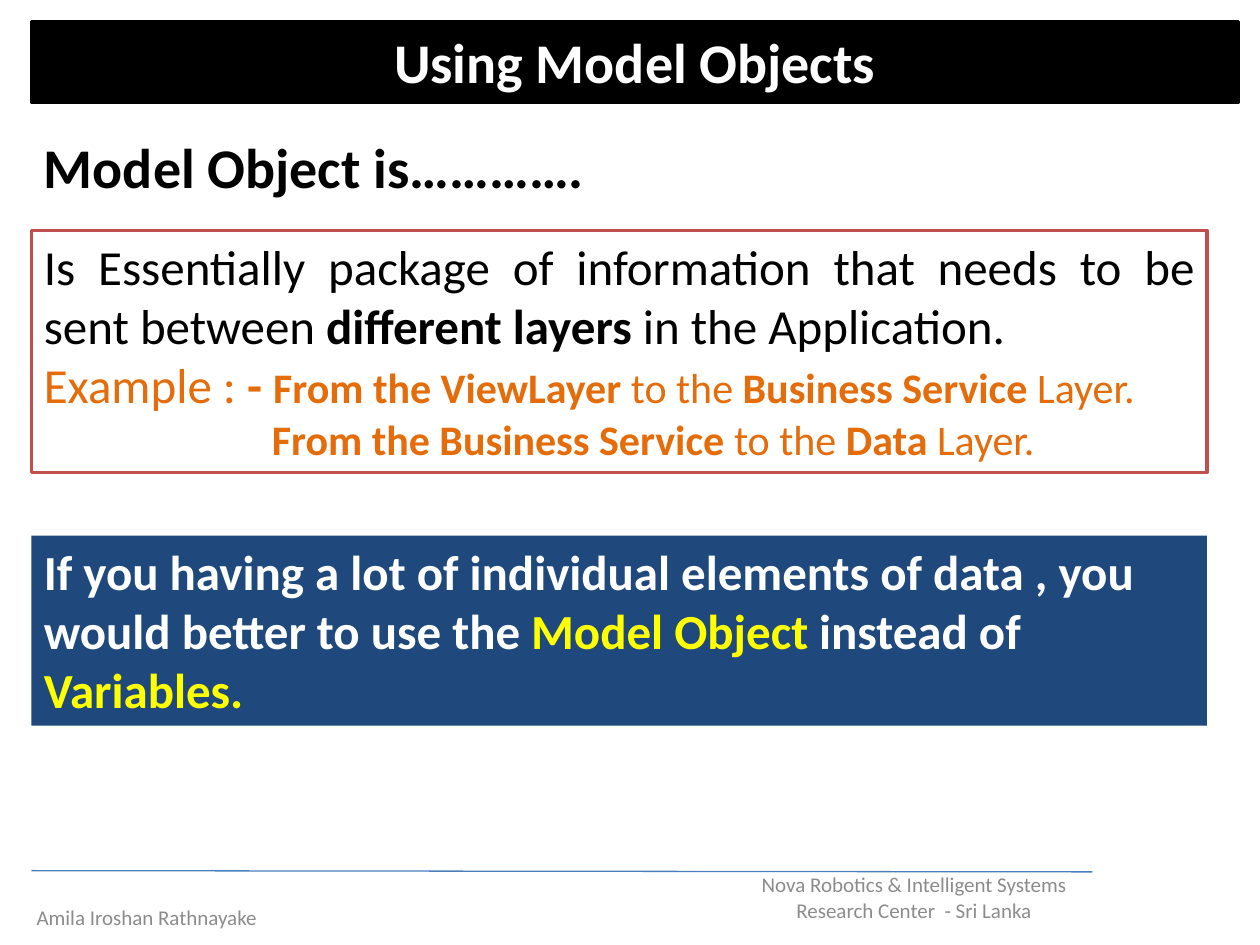
import pptx
import pptx.dml.color
import pptx.enum.shapes
import pptx.enum.text
import pptx.util
from pptx.util import Inches

ALIGN = pptx.enum.text.PP_ALIGN
ANCHOR = pptx.enum.text.MSO_ANCHOR
BLACK, WHITE, YELLOW = "000000", "FFFFFF", "FFFF00"
ORANGE, NAVY, RED, BLUE, GRAY = "E46C0A", "1F497D", "C0504D", "4B7EBC", "8C8C8C"
LEFT = 0.25
BAND_WIDTH, BODY_WIDTH = 9.58, 9.33


def color(value):
    return pptx.dml.color.RGBColor.from_string(value)


def add_box(slide, box, fill=None, line=None):
    """Add a wrapping text area, drawn as a rectangle when it has a fill."""
    area = [Inches(length) for length in box]
    if fill:
        panel = slide.shapes.add_shape(pptx.enum.shapes.MSO_SHAPE.RECTANGLE, *area)
        panel.shadow.inherit = False
        panel.fill.solid()
        panel.fill.fore_color.rgb = color(fill)
        if line:
            panel.line.color.rgb = color(line)
            panel.line.width = pptx.util.Pt(2)
        else:
            panel.line.fill.background()
    else:
        panel = slide.shapes.add_textbox(*area)
    panel.text_frame.word_wrap = True
    panel.text_frame.vertical_anchor = ANCHOR.TOP
    return panel.text_frame


def write(paragraph, runs, align=ALIGN.LEFT):
    """Fill a paragraph with runs of (text, size, colour, bold)."""
    paragraph.alignment = align
    for text, size, ink, bold in runs:
        run = paragraph.add_run()
        run.text = text
        run.font.name = "Calibri"
        run.font.size = pptx.util.Pt(size)
        run.font.color.rgb = color(ink)
        run.font.bold = bold


def add_title(slide, box):
    frame = add_box(slide, box, BLACK, BLACK)
    write(frame.paragraphs[0], [("Using Model Objects", 32, WHITE, True)], ALIGN.CENTER)


def add_subtitle(slide, box):
    frame = add_box(slide, box)
    write(frame.paragraphs[0], [("Model Object is………….", 32, BLACK, True)])


def add_definition(slide, box):
    frame = add_box(slide, box, WHITE, RED)
    definition = [
        ("Is Essentially package of information that needs to be sent between ", 28, BLACK, False),
        ("different layers", 28, BLACK, True),
        (" in the Application.", 28, BLACK, False),
    ]
    first_example = [
        ("Example : ", 28, ORANGE, False),
        ("- ", 28, ORANGE, True),
        ("From the ViewLayer ", 24, ORANGE, True),
        ("to the ", 24, ORANGE, False),
        ("Business Service ", 24, ORANGE, True),
        ("Layer.", 24, ORANGE, False),
    ]
    second_example = [
        ("From the Business Service ", 24, ORANGE, True),
        ("to the ", 24, ORANGE, False),
        ("Data ", 24, ORANGE, True),
        ("Layer.", 24, ORANGE, False),
    ]
    write(frame.paragraphs[0], definition, ALIGN.JUSTIFY)
    write(frame.add_paragraph(), first_example, ALIGN.JUSTIFY)
    aligned_example = frame.add_paragraph()
    write(aligned_example, second_example, ALIGN.JUSTIFY)
    # Lines the second example up with the first one
    aligned_example._p.get_or_add_pPr().set("marL", str(Inches(1.81)))


def add_advice(slide, box):
    frame = add_box(slide, box, NAVY)
    write(frame.paragraphs[0], [
        ("If you having a lot of individual elements of data , you would better to use the ",
         28, WHITE, True),
        ("Model Object", 28, YELLOW, True),
        (" instead of ", 28, WHITE, True),
        ("Variables.", 28, YELLOW, True),
    ])


def add_footer(slide, box):
    left, top, width, height = box
    rule = slide.shapes.add_connector(
        pptx.enum.shapes.MSO_CONNECTOR.STRAIGHT,
        Inches(left), Inches(top), Inches(left + width), Inches(top + 0.01))
    rule.line.color.rgb = color(BLUE)
    rule.line.width = pptx.util.Pt(0.75)
    rule._element.spPr.append(pptx.oxml.parse_xml(
        '<a:effectLst xmlns:a="http://schemas.openxmlformats.org/drawingml/2006/main"/>'))

    labels = [
        (left + 5.42, top + 0.01, "Nova Robotics & Intelligent Systems Research Center  - Sri Lanka"),
        (left - 0.67, top + 0.17, "Amila Iroshan Rathnayake"),
    ]
    for label_left, label_top, text in labels:
        frame = add_box(slide, (label_left, label_top, 3.17, height))
        frame.vertical_anchor = ANCHOR.MIDDLE
        write(frame.paragraphs[0], [(text, 12, GRAY, False)], ALIGN.CENTER)


def main():
    deck = pptx.Presentation()
    deck.slide_width, deck.slide_height = Inches(10), Inches(7.5)
    slide = deck.slides.add_slide(deck.slide_layouts[6])
    add_footer(slide, (LEFT, 6.91, 8.42, 0.4))
    add_title(slide, (LEFT, 0.17, BAND_WIDTH, 0.64))
    add_subtitle(slide, (LEFT, 1, BAND_WIDTH, 0.64))
    add_definition(slide, (LEFT, 1.83, BODY_WIDTH, 1.92))
    add_advice(slide, (LEFT, 4.25, BODY_WIDTH, 1.51))
    deck.save("out.pptx")


if __name__ == "__main__":
    main()
